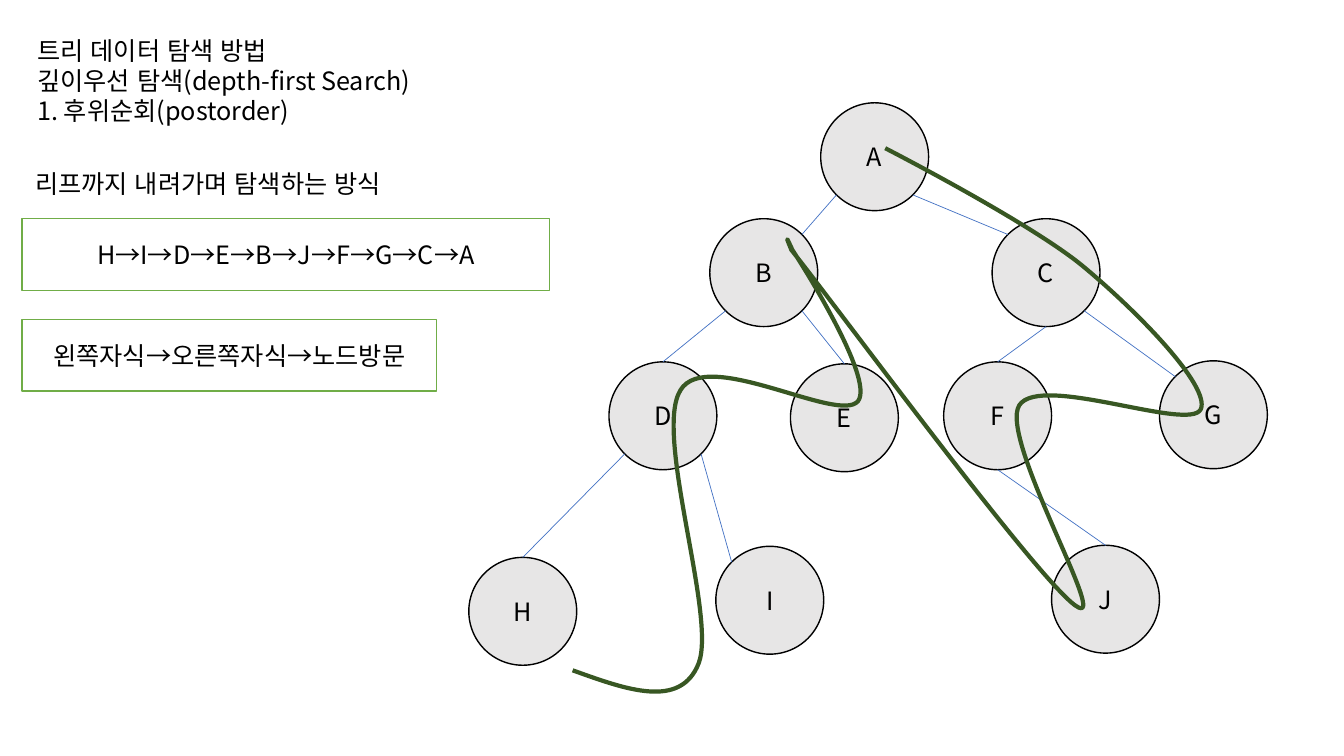
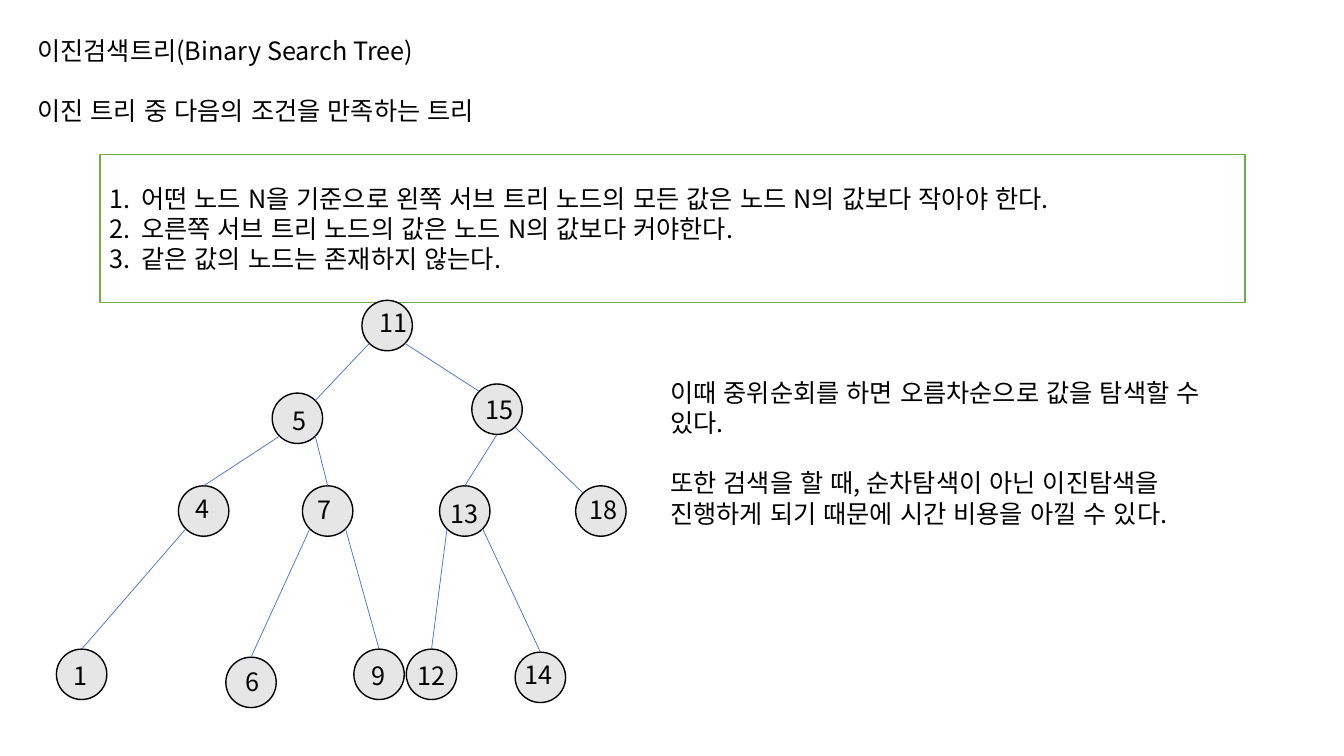
from math import cos, sin, radians
from lxml.etree import SubElement
from pptx import Presentation
from pptx.dml.color import RGBColor
from pptx.enum.lang import MSO_LANGUAGE_ID
from pptx.enum.shapes import MSO_CONNECTOR, MSO_SHAPE
from pptx.enum.text import MSO_ANCHOR, MSO_AUTO_SIZE, PP_ALIGN
from pptx.oxml.ns import qn
from pptx.util import Inches, Pt

BLACK = RGBColor(0, 0, 0)
WHITE = RGBColor(0xFF, 0xFF, 0xFF)
GRAY = RGBColor(0xE7, 0xE6, 0xE6)
BLUE = RGBColor(0x44, 0x72, 0xC4)
GREEN = RGBColor(0x70, 0xAD, 0x47)
DARK = RGBColor(0x38, 0x57, 0x23)

FONT = "Noto Sans CJK KR"
SIZE = Pt(18)
GAP = Pt(21.6)  # one line of text
HEAD = (0.27, 0.3, 7.67, 1.01)

# Compass points of a circle, as clockwise degrees from east
SITES = {"SE": 45, "S": 90, "SW": 135, "NW": 225, "N": 270, "NE": 315}

LETTERS = {
    "A": (8.14, 1.02), "B": (7.04, 2.17), "C": (9.84, 2.17),
    "D": (6.04, 3.59), "E": (7.84, 3.61), "F": (9.36, 3.59),
    "G": (11.5, 3.58), "H": (4.65, 5.53), "I": (7.1, 5.42),
    "J": (10.43, 5.41),
}
LETTER_EDGES = [
    ("A", "SW", "B", "NE"), ("A", "SE", "C", "NW"), ("B", "SW", "D", "N"),
    ("B", "SE", "E", "N"), ("D", "SW", "H", "N"), ("D", "SE", "I", "NW"),
    ("C", "S", "F", "N"), ("C", "SE", "G", "NW"), ("F", "S", "J", "N"),
]
NUMBERS = {
    "11": (3.59, 2.98), "5": (2.7, 3.9), "15": (4.68, 3.81),
    "4": (1.77, 4.82), "7": (3, 4.82), "13": (4.36, 4.82),
    "18": (5.71, 4.82), "1": (0.56, 6.44), "6": (2.24, 6.52),
    "9": (3.51, 6.44), "12": (4.03, 6.44), "14": (5.11, 6.47),
}
NUMBER_EDGES = [
    ("11", "SW", "5", "NE"), ("11", "SE", "15", "NW"), ("5", "SW", "4", "N"),
    ("5", "SE", "7", "N"), ("4", "SW", "1", "N"), ("7", "SW", "6", "N"),
    ("7", "SE", "9", "N"), ("15", "S", "13", "N"), ("15", "SE", "18", "NW"),
    ("13", "SW", "12", "N"), ("13", "SE", "14", "N"),
]
LABELS = {
    "11": (3.63, 3), "5": (2.7, 3.97), "15": (4.68, 3.86),
    "4": (1.73, 4.84), "7": (2.94, 4.85), "13": (4.33, 4.89),
    "18": (5.71, 4.85), "1": (0.52, 6.5), "6": (2.23, 6.56),
    "9": (3.48, 6.5), "12": (4, 6.5), "14": (5.07, 6.49),
}
# Start of the visiting route, then two handles and an end for each bend
START = (5.68, 6.65)
BENDS = [
    ((6.21, 6.84), (6.75, 7.04), (6.93, 6.58)),
    ((7.11, 6.11), (6.48, 4.3), (6.75, 3.87)),
    ((7.01, 3.44), (8.32, 4.21), (8.51, 3.98)),
    ((8.69, 3.75), (7.86, 2.48), (7.86, 2.48)),
    ((7.75, 2.24), (7.85, 2.48), (7.85, 2.48)),
    ((8.32, 3.07), (10.29, 5.75), (10.67, 6.01)),
    ((11.04, 6.27), (9.9, 4.35), (10.11, 4.02)),
    ((10.32, 3.7), (11.8, 4.29), (11.91, 4.06)),
    ((12.01, 3.83), (11.26, 3.07), (10.74, 2.64)),
    ((10.22, 2.21), (8.78, 1.47), (8.78, 1.47)),
]
ROUTE = (5.68, 1.47, 6.24, 5.39)


def place(shape, box):
    shape.left, shape.top, shape.width, shape.height = map(Inches, box)


def write(shape, lines, align=PP_ALIGN.LEFT, anchor=MSO_ANCHOR.TOP, gap=0):
    """Fill a shape with paragraphs; gap goes above the last one."""
    frame = shape.text_frame
    frame.text = "\n".join(lines)
    frame.word_wrap = True
    frame.auto_size = MSO_AUTO_SIZE.NONE
    frame.vertical_anchor = anchor
    for para in frame.paragraphs:
        para.alignment = align
        para.space_before = Pt(0)
        for run in para.runs:
            run.font.size = SIZE
            run.font.color.rgb = BLACK
            run.font.name = FONT
            run.font.language_id = MSO_LANGUAGE_ID.KOREAN
    if gap:
        frame.paragraphs[-1].space_before = gap


def style(shape, fill, line):
    shape.fill.solid()
    shape.fill.fore_color.rgb = fill
    shape.line.color.rgb = line
    shape.line.width = Pt(1)


def add_title(slide, lines, gap=0):
    place(slide.shapes.title, HEAD)
    write(slide.shapes.title, lines, gap=gap)


def add_text(slide, box, lines, **look):
    text = slide.shapes.add_textbox(*map(Inches, box))
    write(text, lines, **look)


def add_shape(slide, kind, box, fill, line, text=""):
    shape = slide.shapes.add_shape(kind, *map(Inches, box))
    shape.shadow.inherit = False
    style(shape, fill, line)
    if text:
        write(shape, [text], PP_ALIGN.CENTER, MSO_ANCHOR.MIDDLE)


def add_list(slide, box, lines):
    """Numbered list in a green frame."""
    body = slide.placeholders[1]
    place(body, box)
    style(body, WHITE, GREEN)
    write(body, lines, anchor=MSO_ANCHOR.MIDDLE)
    for para in body.text_frame.paragraphs:
        props = para._p.get_or_add_pPr()
        props.set("marL", str(Inches(0.31)))
        props.set("indent", str(-Inches(0.31)))
        SubElement(props, qn("a:buFont"), typeface=FONT)
        SubElement(props, qn("a:buAutoNum"), type="arabicPeriod")


def add_tree(slide, nodes, edges, size, labels=None):
    """Circles joined at compass points; labels sit inside unless placed."""
    def site(name, side):
        turn = radians(SITES[side])
        x, y = nodes[name]
        return (Inches(x + size / 2 * (1 + cos(turn))),
                Inches(y + size / 2 * (1 + sin(turn))))

    for name, spot in nodes.items():
        add_shape(slide, MSO_SHAPE.OVAL, (*spot, size, size), GRAY, BLACK,
                  "" if labels else name)
    for top, out, low, into in edges:
        edge = slide.shapes.add_connector(
            MSO_CONNECTOR.STRAIGHT, *site(top, out), *site(low, into))
        edge.line.color.rgb = BLUE
        edge.line.width = Pt(0.5)
        SubElement(edge._element.spPr, qn("a:effectLst"))
    for name, spot in (labels or {}).items():
        add_text(slide, (*spot, 0.55, 0.4), [name], align=PP_ALIGN.CENTER)


def add_route(slide, box, start, bends):
    """Open line through cubic bends."""
    left, top, width, height = map(Inches, box)
    pen = slide.shapes.build_freeform(*map(Inches, start))
    pen.add_line_segments([tuple(map(Inches, bend[-1])) for bend in bends],
                          close=False)
    route = pen.convert_to_shape()
    place(route, box)
    track = next(route._element.iter(qn("a:path")))
    track.set("w", str(width))
    track.set("h", str(height))
    for part, bend in zip(track.findall(qn("a:lnTo")), bends):
        part.tag = qn("a:cubicBezTo")
        part.remove(part[0])
        for x, y in bend:
            SubElement(part, qn("a:pt"), x=str(Inches(x) - left),
                       y=str(Inches(y) - top))
    route.shadow.inherit = False
    route.fill.background()
    route.line.color.rgb = DARK
    route.line.width = Pt(3)


def build_order(deck):
    slide = deck.slides.add_slide(deck.slide_layouts[5])
    add_title(slide, ["트리 데이터 탐색 방법",
                      "깊이우선 탐색(depth-first Search)",
                      "1. 후위순회(postorder)"])
    add_tree(slide, LETTERS, LETTER_EDGES, 1.07)
    add_text(slide, (0.25, 1.62, 4.8, 0.4), ["리프까지 내려가며 탐색하는 방식"])
    for top, width, text in ((2.17, 5.23, "H→I→D→E→B→J→F→G→C→A"),
                             (3.17, 4.11, "왼쪽자식→오른쪽자식→노드방문")):
        add_shape(slide, MSO_SHAPE.RECTANGLE, (0.22, top, width, 0.71),
                  WHITE, GREEN, text)
    add_route(slide, ROUTE, START, BENDS)


def build_search(deck):
    slide = deck.slides.add_slide(deck.slide_layouts[1])
    add_title(slide, ["이진검색트리(Binary Search Tree)",
                      "이진 트리 중 다음의 조건을 만족하는 트리"], gap=GAP)
    add_list(slide, (0.99, 1.53, 11.36, 1.47), [
        "어떤 노드 N을 기준으로 왼쪽 서브 트리 노드의 모든 값은 노드 N의 값보다 작아야 한다.",
        "오른쪽 서브 트리 노드의 값은 노드 N의 값보다 커야한다.",
        "같은 값의 노드는 존재하지 않는다."])
    add_tree(slide, NUMBERS, NUMBER_EDGES, 0.5, LABELS)
    add_text(slide, (6.55, 3.69, 5.8, 1.62), [
        "이때 중위순회를 하면 오름차순으로 값을 탐색할 수 있다.",
        "또한 검색을 할 때, 순차탐색이 아닌 이진탐색을 진행하게 되기 때문에 시간 비용을 아낄 수 있다."],
        gap=GAP)


def main():
    deck = Presentation()
    deck.slide_width, deck.slide_height = Inches(13.33), Inches(7.5)
    build_order(deck)
    build_search(deck)
    deck.save("out.pptx")


if __name__ == "__main__":
    main()
